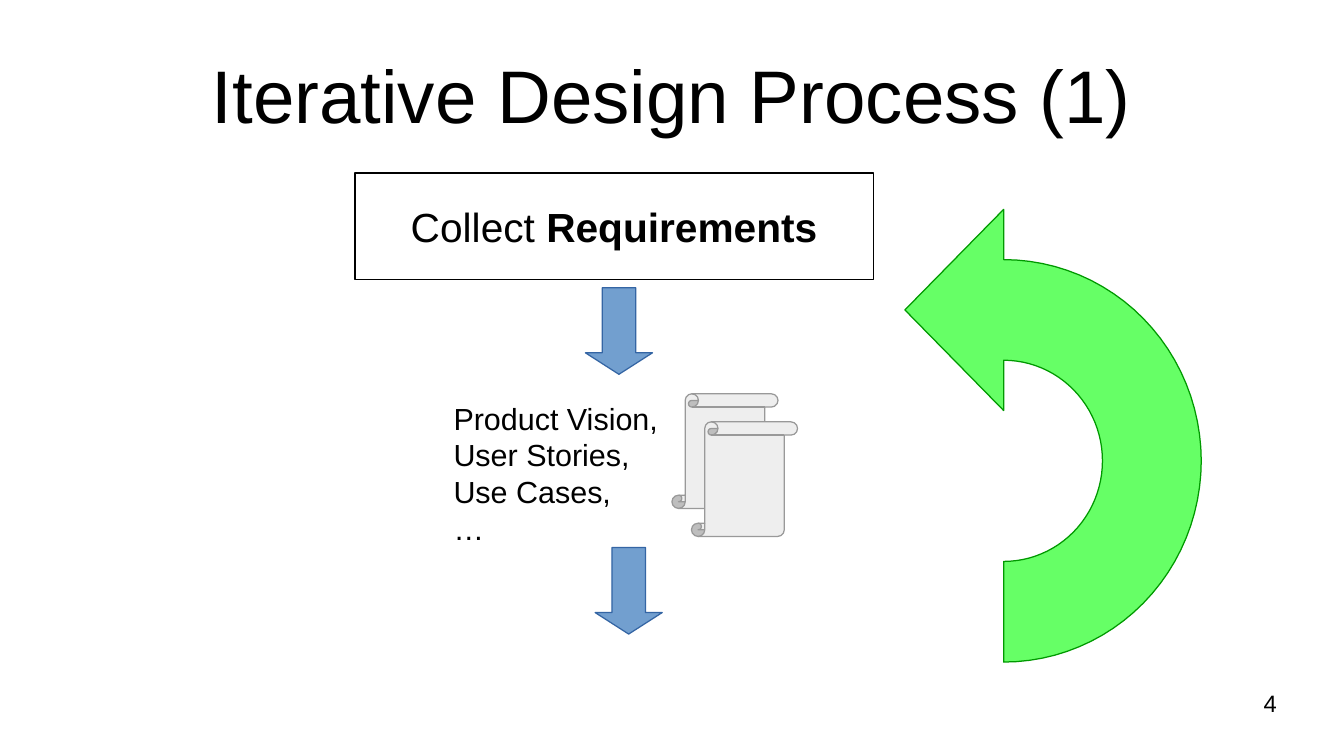
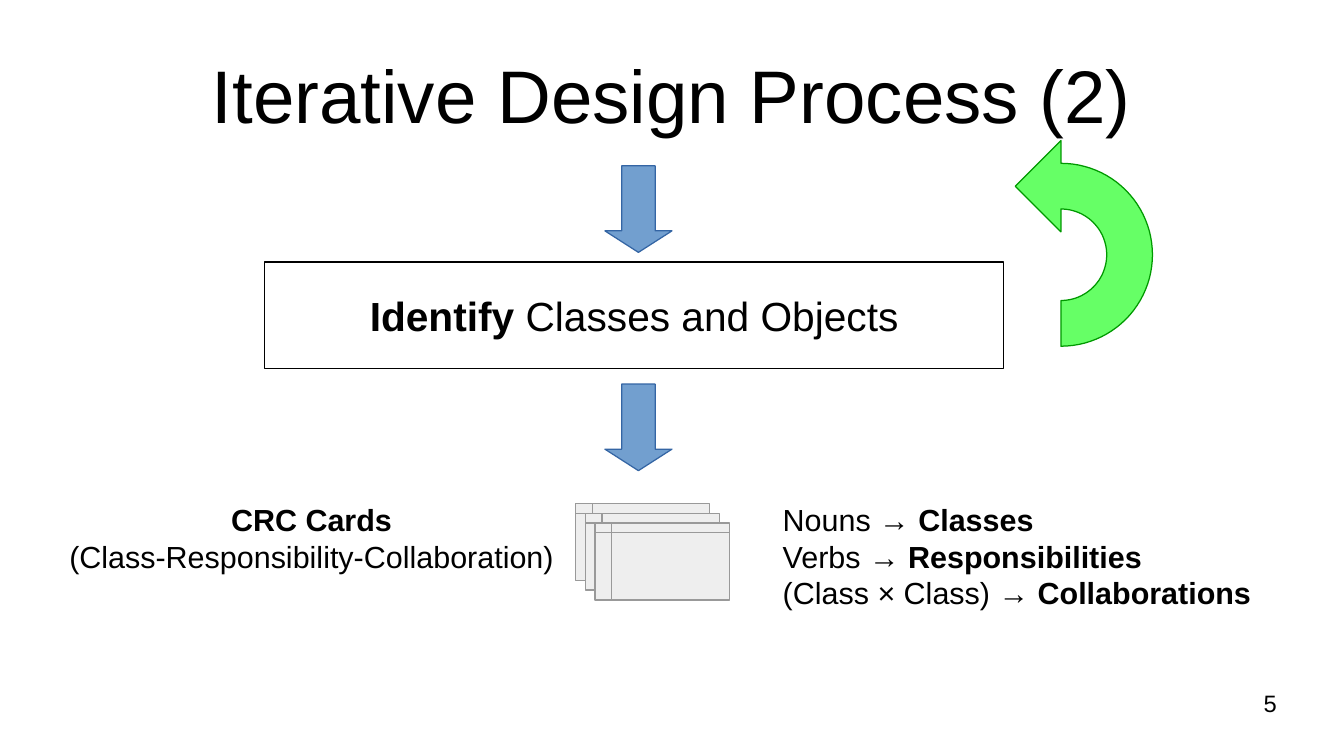
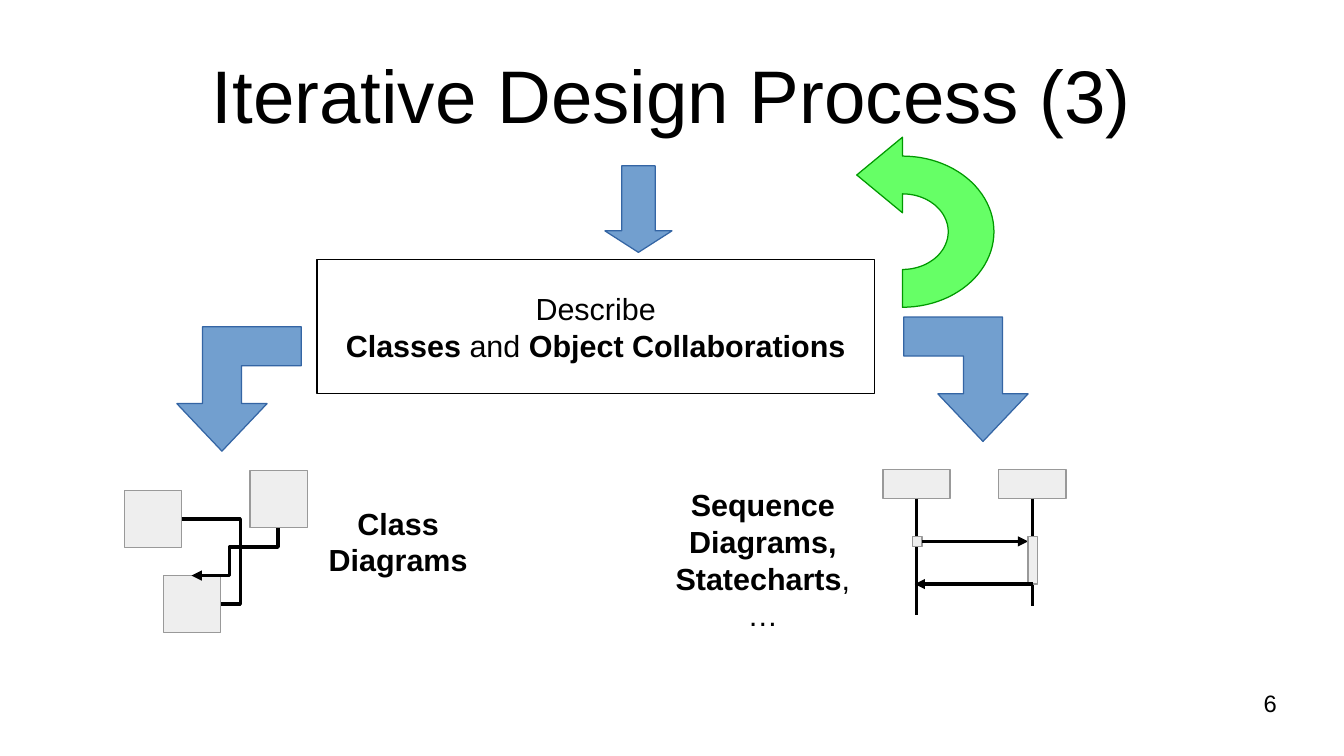
from dataclasses import dataclass
from math import cos, pi, sin
from typing import NamedTuple

from lxml.etree import SubElement
from pptx import Presentation
from pptx.dml.color import RGBColor
from pptx.enum.shapes import MSO_CONNECTOR as Link, MSO_SHAPE as Preset
from pptx.enum.text import MSO_ANCHOR as Anchor, PP_ALIGN as Align
from pptx.oxml.ns import qn
from pptx.util import Inches, Pt

FONT = "Arial"
COLORS = {
    "text": "000000",
    "paper": "FFFFFF",
    "step": "729FCF",
    "step_edge": "3465A4",
    "loop": "66FF66",
    "loop_edge": "009900",
    "artifact": "EEEEEE",
    "artifact_edge": "999999",
}
TOP, LEFT, BOTTOM, RIGHT = range(4)
ARC_STEPS = 48


class Box(NamedTuple):
    x: float
    y: float
    w: float
    h: float


class Words(NamedTuple):
    text: str
    bold: bool = False


class Point(NamedTuple):
    x: float
    y: float


@dataclass(frozen=True)
class Look:
    fill: str
    edge: str


@dataclass(frozen=True)
class TextStyle:
    size: float = 18
    align: Align = Align.LEFT
    anchor: Anchor = Anchor.TOP
    inset: tuple[float, float] = (0.1, 0.05)
    wrap: bool = True


@dataclass(frozen=True)
class Loop:
    """Half ring around a centre, ending in an arrowhead at the upper left."""
    center: Point
    rx: float
    ry: float


ACTIVITY = Look("paper", "text")
STEP = Look("step", "step_edge")
LOOP = Look("loop", "loop_edge")
ARTIFACT = Look("artifact", "artifact_edge")

TITLE = TextStyle(44, Align.CENTER, Anchor.MIDDLE, (0, 0))
PAGE_NUMBER = TextStyle(14, Align.RIGHT, inset=(0, 0))
CENTERED = TextStyle(align=Align.CENTER)
UNWRAPPED = TextStyle(wrap=False)

Paragraphs = list[list[Words]]


def color(name: str) -> RGBColor:
    return RGBColor.from_string(COLORS[name])


def write(shape, paragraphs: Paragraphs, style: TextStyle) -> None:
    frame = shape.text_frame
    frame.word_wrap = style.wrap
    frame.vertical_anchor = style.anchor
    frame.margin_left = frame.margin_right = Inches(style.inset[0])
    frame.margin_top = frame.margin_bottom = Inches(style.inset[1])
    for index, words in enumerate(paragraphs):
        paragraph = frame.add_paragraph() if index else frame.paragraphs[0]
        paragraph.alignment = style.align
        for text, bold in words:
            run = paragraph.add_run()
            run.text = text
            run.font.name = FONT
            run.font.size = Pt(style.size)
            run.font.bold = bold
            run.font.color.rgb = color("text")


def add_text(slide, box: Box, paragraphs: Paragraphs, style: TextStyle) -> None:
    write(slide.shapes.add_textbox(*map(Inches, box)), paragraphs, style)


def paint(shape, look: Look):
    shape.shadow.inherit = False
    shape.fill.solid()
    shape.fill.fore_color.rgb = color(look.fill)
    shape.line.color.rgb = color(look.edge)
    shape.line.width = Pt(0)
    return shape


def add_preset(shapes, preset: Preset, box: Box, look: Look):
    return paint(shapes.add_shape(preset, *map(Inches, box)), look)


def add_outline(slide, points: list[Point], look: Look) -> None:
    corners = [(Inches(x), Inches(y)) for x, y in points]
    builder = slide.shapes.build_freeform(*corners[0], scale=1.0)
    builder.add_line_segments(corners[1:], close=True)
    paint(builder.convert_to_shape(), look)


def add_activity(slide, box: Box, paragraphs: Paragraphs, size: float) -> None:
    activity = add_preset(slide.shapes, Preset.RECTANGLE, box, ACTIVITY)
    write(activity, paragraphs,
          TextStyle(size, Align.CENTER, Anchor.MIDDLE, wrap=False))


def add_step_arrow(slide, x: float, y: float) -> None:
    arrow = add_preset(slide.shapes, Preset.DOWN_ARROW, Box(x, y, 0.55, 0.71), STEP)
    arrow.adjustments[1] = 0.32


def add_loop_arrow(slide, loop: Loop) -> None:
    def at(dx: float, dy: float) -> Point:
        return Point(loop.center.x + dx * loop.rx, loop.center.y + dy * loop.ry)

    angles = [pi * step / ARC_STEPS - pi / 2 for step in range(ARC_STEPS + 1)]
    inner = [at(cos(angle) / 2, sin(angle) / 2) for angle in angles]
    outer = [at(cos(angle), sin(angle)) for angle in reversed(angles)]
    head = [at(0, -1.25), at(-0.5, -0.75), at(0, -0.25)]
    add_outline(slide, inner + outer + head, LOOP)


def add_turn_arrow(slide, tip: Point, side: int) -> None:
    """Arrow that starts sideways (side 1: right, -1: left) and turns down."""
    offsets = [(0, 0), (-0.37, -0.39), (-0.16, -0.39), (-0.16, -1.02),
               (0.65, -1.02), (0.65, -0.7), (0.16, -0.7), (0.16, -0.39),
               (0.37, -0.39)]
    add_outline(slide, [Point(tip.x + side * dx, tip.y + dy) for dx, dy in offsets],
                STEP)


def add_link(shapes, start: Point, end: Point, kind: Link = Link.STRAIGHT,
             arrow: bool = False):
    link = shapes.add_connector(kind, *map(Inches, (*start, *end)))
    link.line.color.rgb = color("text")
    link.line.width = Pt(0)
    if arrow:
        SubElement(link.line._get_or_add_ln(), qn("a:tailEnd"), type="triangle")
    SubElement(link.element.spPr, qn("a:effectLst"))
    return link


def bend(link, preset: str, *ratios: float, turn: int = 0) -> None:
    """Set the elbow preset, its bend positions and its rotation in degrees."""
    geometry = link.element.spPr.find(qn("a:prstGeom"))
    geometry.set("prst", preset)
    guides = geometry.find(qn("a:avLst"))
    if guides is None:
        guides = SubElement(geometry, qn("a:avLst"))
    for number, ratio in enumerate(ratios, 1):
        SubElement(guides, qn("a:gd"), name=f"adj{number}",
                   fmla=f"val {round(ratio * 100000)}")
    if turn:
        link.element.spPr.find(qn("a:xfrm")).set("rot", str(turn * 60000))


def add_class_diagram(slide) -> None:
    shapes = slide.shapes.add_group_shape().shapes
    first, second, _ = [
        add_preset(shapes, Preset.RECTANGLE, Box(x, y, 0.47, 0.47), ARTIFACT)
        for x, y in ((1.02, 4.02), (1.34, 4.72), (2.05, 3.86))
    ]
    association = add_link(shapes, Point(1.49, 4.25), Point(1.81, 4.96), Link.ELBOW)
    association.begin_connect(first, RIGHT)
    association.end_connect(second, RIGHT)
    bend(association, "bentConnector3", 1.5)
    reference = add_link(shapes, Point(1.73, 4.17), Point(2.12, 4.88), Link.ELBOW,
                         arrow=True)
    bend(reference, "bentConnector4", 0.4, 0.56, turn=90)


def add_sequence_diagram(slide) -> None:
    shapes = slide.shapes.add_group_shape().shapes

    def add_block(x: float, y: float, w: float, h: float):
        return add_preset(shapes, Preset.RECTANGLE, Box(x, y, w, h), ARTIFACT)

    for x, end in ((7.24, 5.04), (8.19, 4.97)):
        participant = add_block(x, 3.85, 0.55, 0.24)
        middle = x + 0.275
        lifeline = add_link(shapes, Point(middle, 4.09), Point(middle, end))
        lifeline.begin_connect(participant, BOTTOM)
    sender = add_block(7.48, 4.4, 0.08, 0.08)
    call = add_link(shapes, Point(7.56, 4.44), Point(8.43, 4.44), arrow=True)
    call.begin_connect(sender, RIGHT)
    activation = add_block(8.43, 4.4, 0.08, 0.39)
    reply = add_link(shapes, Point(8.47, 4.79), Point(7.5, 4.79), arrow=True)
    reply.begin_connect(activation, BOTTOM)


def add_slide(deck, part: int):
    """Blank slide with the shared title and page number."""
    slide = deck.slides.add_slide(deck.slide_layouts[6])
    add_text(slide, Box(0.55, 0.25, 9.92, 1.04),
             [[Words(f"Iterative Design Process ({part})")]], TITLE)
    add_text(slide, Box(7.9, 5.65, 2.57, 0.43), [[Words(str(part + 3))]], PAGE_NUMBER)
    return slide


def build_requirements(deck) -> None:
    slide = add_slide(deck, 1)
    add_activity(slide, Box(2.91, 1.42, 4.25, 0.87),
                 [[Words("Collect "), Words("Requirements", True)]], 24)
    for x, y in ((5.51, 3.23), (5.67, 3.46)):
        add_preset(slide.shapes, Preset.VERTICAL_SCROLL, Box(x, y, 0.87, 0.94), ARTIFACT)
    documents = ("Product Vision,", "User Stories,", "Use Cases,", "…")
    add_text(slide, Box(3.62, 3.23, 1.89, 1.22),
             [[Words(document)] for document in documents], TextStyle())
    add_step_arrow(slide, 4.8, 2.36)
    add_loop_arrow(slide, Loop(Point(8.23, 3.78), 1.62, 1.65))
    add_step_arrow(slide, 4.88, 4.49)


def build_identification(deck) -> None:
    slide = add_slide(deck, 2)
    add_activity(slide, Box(2.17, 2.15, 6.06, 0.87),
                 [[Words("Identify", True), Words(" Classes and Objects")]], 24)
    add_text(slide, Box(0.39, 4.06, 4.33, 0.71),
             [[Words("CRC Cards", True)],
              [Words("(Class-Responsibility-Collaboration)")]], CENTERED)
    for y in (1.36, 3.15):
        add_step_arrow(slide, 4.96, y)
    add_loop_arrow(slide, Loop(Point(8.7, 2.09), 0.75, 0.75))
    cards = slide.shapes.add_group_shape().shapes
    for index in range(3):
        shift = 0.08 * index
        add_preset(cards, Preset.FLOWCHART_INTERNAL_STORAGE,
                   Box(4.72 + shift, 4.13 + shift, 1.1, 0.63), ARTIFACT)
    mapping = {"Nouns": "Classes", "Verbs": "Responsibilities",
               "(Class × Class)": "Collaborations"}
    add_text(slide, Box(6.32, 4.06, 4.04, 0.94),
             [[Words(f"{source} → "), Words(target, True)]
              for source, target in mapping.items()], UNWRAPPED)


def build_description(deck) -> None:
    slide = add_slide(deck, 3)
    add_step_arrow(slide, 4.96, 1.36)
    add_loop_arrow(slide, Loop(Point(7.4, 1.9), 0.75, 0.62))
    add_activity(slide, Box(2.6, 2.13, 4.57, 1.1),
                 [[Words("Describe")],
                  [Words("Classes", True), Words(" and "),
                   Words("Object Collaborations", True)]], 18)
    add_class_diagram(slide)
    add_text(slide, Box(2.28, 4.09, 1.97, 0.66),
             [[Words("Class", True)], [Words("Diagrams", True)]], CENTERED)
    add_sequence_diagram(slide)
    add_text(slide, Box(5.43, 3.94, 1.65, 1.65),
             [[Words("Sequence Diagrams, Statecharts", True), Words(", …")]], CENTERED)
    add_turn_arrow(slide, Point(1.82, 3.7), 1)
    add_turn_arrow(slide, Point(8.06, 3.62), -1)


def main() -> None:
    deck = Presentation()
    deck.slide_width, deck.slide_height = Inches(11.02), Inches(6.2)
    build_requirements(deck)
    build_identification(deck)
    build_description(deck)
    deck.save("out.pptx")


if __name__ == "__main__":
    main()
